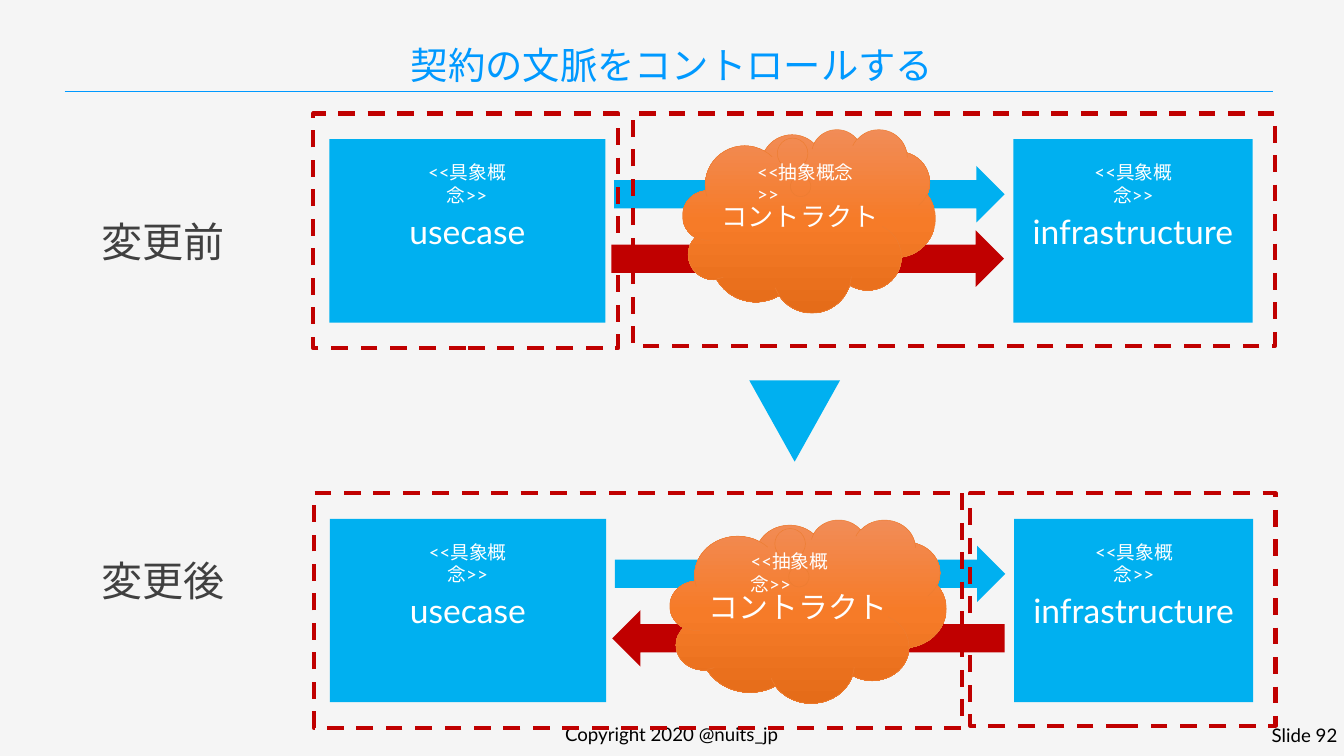
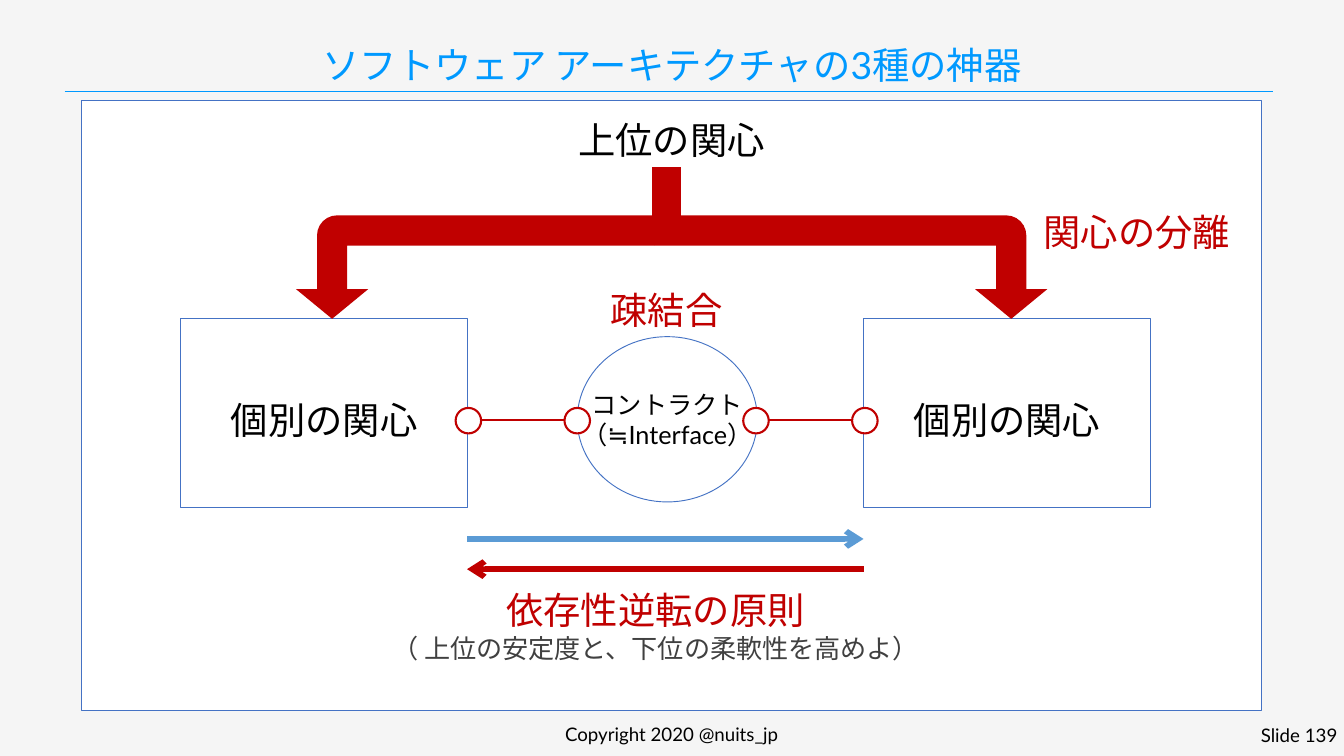
from copy import deepcopy

from pptx import Presentation
from pptx.dml.color import RGBColor
from pptx.enum.dml import MSO_LINE
from pptx.enum.lang import MSO_LANGUAGE_ID
from pptx.enum.shapes import MSO_CONNECTOR, MSO_SHAPE
from pptx.enum.text import MSO_ANCHOR, PP_ALIGN
from pptx.oxml.ns import qn
from pptx.util import Inches, Pt
from lxml.etree import SubElement

FONT = "Lato"
WHITE, BLACK, GRAY = "FFFFFF", "000000", "404040"
TITLE_BLUE, SKY, OUTLINE, ARROW_BLUE = "0099FF", "00B0F0", "4472C4", "5B9BD5"
RED, ORANGE = "C00000", "ED7D31"
CLOUD_STOPS = [(0, "F18C57"), (0.5, "F67B28"), (1, "E56C19")]
BENT_ARROW = [0.292, 0.349, 0.287, 0.194]
CENTER, LEFT, RIGHT = PP_ALIGN.CENTER, PP_ALIGN.LEFT, PP_ALIGN.RIGHT
TOP, MIDDLE, BOTTOM = MSO_ANCHOR.TOP, MSO_ANCHOR.MIDDLE, MSO_ANCHOR.BOTTOM
COLOR = RGBColor.from_string


def draw(shapes, kind, at, fill=None, line=None, weight=1):
    """Add a shape (at: left, top, width, height) or a line (at: two points)."""
    lengths = [Inches(value) for value in at]
    if kind == "line":
        item = shapes.add_connector(MSO_CONNECTOR.STRAIGHT, *lengths)
        SubElement(item._element.spPr, qn("a:effectLst"))
    else:
        item = shapes.add_shape(kind, *lengths)
        item.shadow.inherit = False
        if fill:
            item.fill.solid()
            item.fill.fore_color.rgb = COLOR(fill)
        else:
            item.fill.background()
    if line:
        item.line.color.rgb = COLOR(line)
        item.line.width = Pt(weight)
    else:
        item.line.fill.background()
    return item


def write(box, lines, align=CENTER, anchor=TOP, insets=(0.1, 0.05, 0.1, 0.05), wrap=True):
    """Fill a box with lines of (text, size, color)."""
    frame = box.text_frame
    frame.word_wrap = wrap
    frame.vertical_anchor = anchor
    (frame.margin_left, frame.margin_top,
     frame.margin_right, frame.margin_bottom) = [Inches(value) for value in insets]
    frame.text = "\n".join(text for text, size, color in lines)
    for para, (text, size, color) in zip(frame.paragraphs, lines):
        para.alignment = align
        for span in para.runs:
            span.font.name = FONT
            span.font.size = Pt(size)
            span.font.color.rgb = COLOR(color)
            span.font.language_id = MSO_LANGUAGE_ID.JAPANESE


deck = Presentation()
deck.slide_width, deck.slide_height = Inches(20), Inches(11.25)

# Shared frame: background, footer, rule and title
pages = []
for title, number in [("契約の文脈をコントロールする", 92),
                      ("ソフトウェア アーキテクチャの3種の神器", 139)]:
    page = deck.slides.add_slide(deck.slide_layouts[6])
    page.background.fill.solid()
    page.background.fill.fore_color.rgb = COLOR("F5F5F5")
    draw(page.shapes, "line", (0.96, 1.36, 18.94, 1.36), line=TITLE_BLUE, weight=0.5)
    for at, text, size, color, align, anchor in [
        ((6.62, 10.74, 6.75, 0.38), "Copyright 2020 @nuits_jp", 20, BLACK, CENTER, MIDDLE),
        ((18.28, 10.75, 1.72, 0.37), f"Slide {number}", 20, BLACK, RIGHT, MIDDLE),
        ((0.35, 0.51, 19.3, 0.84), title, 40, TITLE_BLUE, CENTER, BOTTOM),
    ]:
        box = page.shapes.add_textbox(*[Inches(value) for value in at])
        write(box, [(text, size, color)], align, anchor)
    box.text_frame.paragraphs[0].line_spacing = 0.9
    pages.append(page)
before_after, three_treasures = [page.shapes for page in pages]

# Slide 1: the same row before and after the change
rows = [
    # shift, contract arrow, cloud left and width, text size, label box, dashed frames
    (0, 0, MSO_SHAPE.RIGHT_ARROW, 10.16, 3.76, 28, (11.17, 2.34, 1.66, 0.44),
     [(4.66, 4.54, 3.49), (9.42, 9.55, 3.46)]),
    (0.01, 5.65, MSO_SHAPE.LEFT_ARROW, 9.97, 4.11, 32, (11.07, 8.14, 1.48, 0.34),
     [(4.67, 9.65, 3.49), (14.44, 4.54, 3.46)]),
]
for right, down, arrow, cloud_left, cloud_width, size, label, frames in rows:
    row = before_after.add_group_shape().shapes
    draw(row, MSO_SHAPE.RIGHT_ARROW, (9.14 + right, 2.47 + down, 5.81, 0.84), SKY)
    draw(row, arrow, (9.1 + right, 3.43 + down, 5.84, 0.84), RED)

    # Contract cloud
    cloud_top = 7.73 if down else 1.92
    cloud = draw(row, MSO_SHAPE.CLOUD_CALLOUT, (cloud_left, cloud_top, cloud_width, 2.73),
                 line=ORANGE, weight=0.5)
    cloud.adjustments[0], cloud.adjustments[1] = -0.011, -0.062
    cloud.fill.gradient()
    cloud.fill.gradient_angle = 270
    stop_list = cloud._element.spPr.find(".//" + qn("a:gsLst"))
    stop_list.append(deepcopy(stop_list[0]))
    for stop, (position, color) in zip(cloud.fill.gradient_stops, CLOUD_STOPS):
        stop.position = position
        stop.color.rgb = COLOR(color)
    write(cloud, [("コントラクト", size, WHITE)], anchor=MIDDLE, insets=(0, 0, 0, 0))
    box = row.add_textbox(*[Inches(value) for value in label])
    write(box, [("<<抽象概念>>", 20, WHITE)], LEFT)

    # Dashed context frames
    for left, width, height in frames:
        frame = draw(row, MSO_SHAPE.RECTANGLE, (left, 1.69 + down, width, height),
                     line=RED, weight=4.5)
        frame.line.dash_style = MSO_LINE.DASH

    # Concrete components
    for name, left, width, label_left, label_width in [
        ("usecase", 4.9, 4.11, 6.15, 1.6),
        ("infrastructure", 15.08, 3.56, 16.17, 1.39),
    ]:
        component = draw(row, MSO_SHAPE.RECTANGLE, (left + right, 2.07 + down, width, 2.73), SKY)
        write(component, [(name, 36, WHITE)], anchor=MIDDLE, insets=(0, 0.05, 0, 0.05))
        box = row.add_textbox(Inches(label_left + right), Inches(2.35 + down),
                              Inches(label_width), Inches(0.36))
        write(box, [("<<具象概念>>", 20, WHITE)])

# Row names and the triangle between the rows
for text, top in [("変更前", 3.17), ("変更後", 8.21)]:
    box = before_after.add_textbox(Inches(1.41), Inches(top), Inches(2.05), Inches(0.84))
    write(box, [(text, 44, GRAY)], LEFT, wrap=False)
triangle = draw(before_after, MSO_SHAPE.ISOSCELES_TRIANGLE, (11.15, 5.66, 1.35, 1.21), SKY)
triangle.rotation = 180

# Slide 2: the upper concern and the two concerns it splits into
for at, text, anchor in [
    ((1.21, 1.5, 17.57, 9.07), "上位の関心", TOP),
    ((2.69, 4.74, 4.27, 2.81), "個別の関心", MIDDLE),
    ((12.85, 4.74, 4.27, 2.81), "個別の関心", MIDDLE),
]:
    concern = draw(three_treasures, MSO_SHAPE.RECTANGLE, at, WHITE, OUTLINE)
    write(concern, [(text, 40, BLACK)], anchor=anchor, insets=(0.1, 0.24, 0.1, 0.05))

# Forked arrow
for at, flipped in [((6.3, 1.31, 1.54, 5.33), True), ((11.89, 1.05, 1.54, 5.85), False)]:
    branch = draw(three_treasures, MSO_SHAPE.BENT_ARROW, at, RED)
    branch.rotation = 90
    for index, value in enumerate(BENT_ARROW):
        branch.adjustments[index] = value
    if flipped:
        branch._element.spPr.find(qn("a:xfrm")).set("flipV", "1")
draw(three_treasures, MSO_SHAPE.FLOWCHART_PROCESS, (9.7, 2.49, 0.44, 1.13), RED)

# Contract circle
contract = draw(three_treasures, MSO_SHAPE.OVAL, (8.59, 5.01, 2.68, 2.46), WHITE, OUTLINE)
write(contract, [("コントラクト", 27, BLACK), ("（≒Interface）", 27, BLACK)],
      anchor=MIDDLE, insets=(0, 0, 0, 0), wrap=False)

# Couplings: a line with a ring at each end
for left in (6.78, 11.06):
    coupling = three_treasures.add_group_shape().shapes
    draw(coupling, "line", (left + 0.37, 6.25, left + 1.62, 6.25), line=RED, weight=2.25)
    for ring_left in (left, left + 1.62):
        draw(coupling, MSO_SHAPE.OVAL, (ring_left, 6.07, 0.38, 0.38), WHITE, RED, 2.25)

# Opposite flows
for top, color, end in [(8.02, ARROW_BLUE, "a:tailEnd"), (8.47, RED, "a:headEnd")]:
    flow = draw(three_treasures, "line", (6.95, top, 12.85, top), line=color, weight=6)
    SubElement(flow.line._get_or_add_ln(), qn(end)).set("type", "arrow")

# Names of the three principles
for at, lines, align in [
    ((15.43, 3.06, 3.01, 0.77), [("関心の分離", 40, RED)], LEFT),
    ((8.98, 4.23, 1.88, 0.77), [("疎結合", 40, RED)], CENTER),
    ((5.67, 8.69, 8.17, 1.25), [("依存性逆転の原則", 40, RED),
                                ("（ 上位の安定度と、下位の柔軟性を高めよ）", 28, GRAY)], CENTER),
]:
    box = three_treasures.add_textbox(*[Inches(value) for value in at])
    write(box, lines, align, wrap=False)

deck.save("out.pptx")
